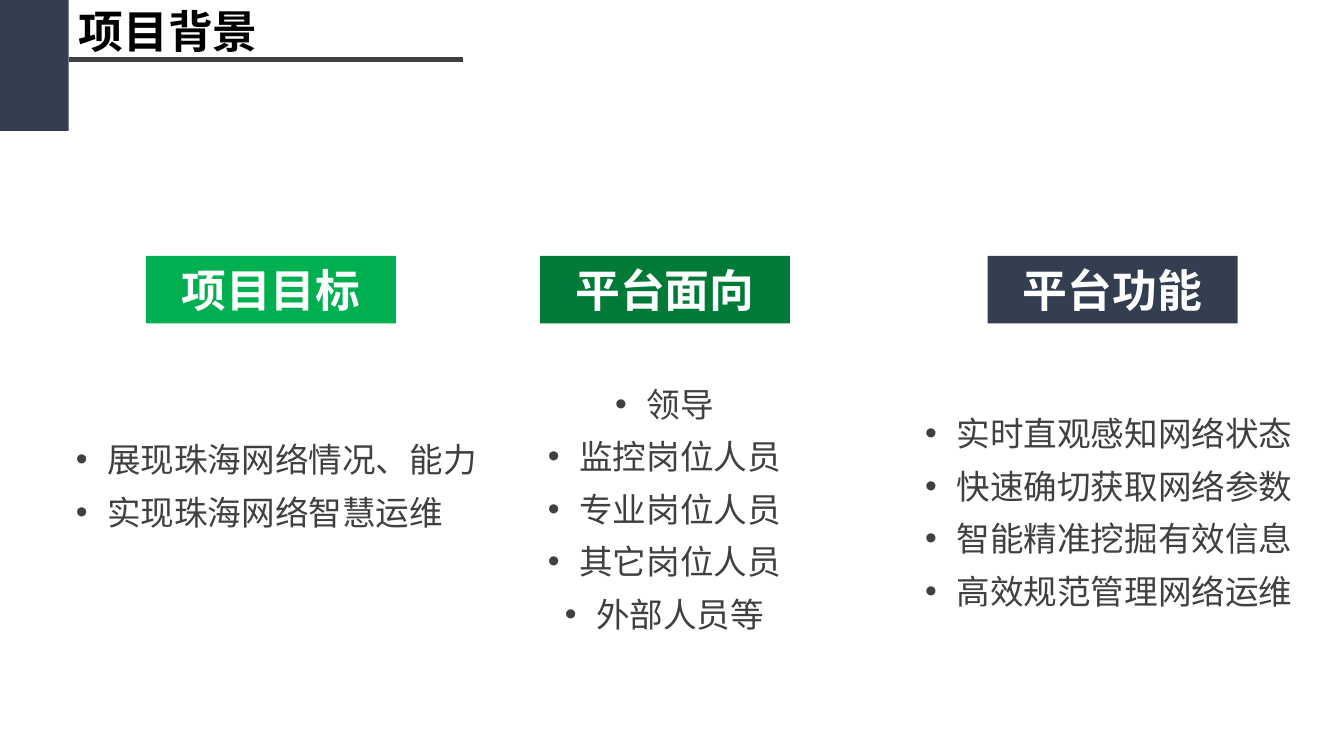
from dataclasses import dataclass

from pptx import Presentation
from pptx.dml.color import RGBColor
from pptx.enum.shapes import MSO_CONNECTOR, MSO_SHAPE
from pptx.enum.text import MSO_ANCHOR, MSO_AUTO_SIZE, PP_ALIGN
from pptx.oxml.ns import qn
from pptx.util import Cm, Pt
from lxml.etree import SubElement


@dataclass(frozen=True)
class Theme:
    navy: RGBColor = RGBColor.from_string("333F50")
    green: RGBColor = RGBColor.from_string("00B050")
    dark_green: RGBColor = RGBColor.from_string("007A37")
    gray: RGBColor = RGBColor.from_string("404040")
    black: RGBColor = RGBColor.from_string("000000")
    white: RGBColor = RGBColor.from_string("FFFFFF")
    chinese_font: str = "Noto Sans CJK SC"
    latin_font: str = "Calibri"
    heading_size: Pt = Pt(32)
    list_size: Pt = Pt(24)
    list_spacing: Pt = Pt(37.5)


theme = Theme()


def write_text(paragraph, text, color, size, bold=False, font_name=theme.chinese_font):
    """Add one run and set its font for both Latin and Chinese letters."""
    run = paragraph.add_run()
    run.text = text
    run.font.color.rgb = color
    for name, value in {"size": size, "bold": bold, "name": font_name}.items():
        setattr(run.font, name, value)
    east_asian = SubElement(run.font._element, qn("a:ea"))
    east_asian.set("typeface", theme.chinese_font)


def add_block(left, top, width, height, color):
    block = slide.shapes.add_shape(
        MSO_SHAPE.RECTANGLE, Cm(left), Cm(top), Cm(width), Cm(height)
    )
    block.shadow.inherit = False
    block.fill.solid()
    block.fill.fore_color.rgb = color
    block.line.fill.background()
    return block


presentation = Presentation()
presentation.slide_width, presentation.slide_height = Cm(33.87), Cm(19.05)
slide = presentation.slides.add_slide(presentation.slide_layouts[5])

# Title with corner block and underline
add_block(0, 0, 1.73, 3.3, theme.navy)
underline = slide.shapes.add_connector(
    MSO_CONNECTOR.STRAIGHT, Cm(1.73), Cm(1.5), Cm(11.68), Cm(1.5)
)
underline.line.color.rgb = theme.gray
underline.line.width = Pt(3)
SubElement(underline._element.spPr, qn("a:effectLst"))

title = slide.shapes.title
title_box = {"left": Cm(1.73), "top": Cm(0), "width": Cm(5.11), "height": Cm(1.55)}
for name, value in title_box.items():
    setattr(title, name, value)
title_format = {
    "auto_size": MSO_AUTO_SIZE.NONE,
    "vertical_anchor": MSO_ANCHOR.MIDDLE,
    "margin_left": Cm(0.25),
    "margin_right": 0,
    "margin_top": 0,
    "margin_bottom": 0,
}
for name, value in title_format.items():
    setattr(title.text_frame, name, value)
title_paragraph = title.text_frame.paragraphs[0]
title_paragraph.alignment = PP_ALIGN.LEFT
write_text(title_paragraph, "项目背景", theme.black, theme.heading_size, bold=True)

# Three columns: heading, colour, heading left, list left, top and width, alignment, items
columns = [
    ("项目目标", theme.green, 3.68, 1.73, 10.66, 10.85, PP_ALIGN.LEFT,
     ["展现珠海网络情况、能力", "实现珠海网络智慧运维"]),
    ("平台面向", theme.dark_green, 13.61, 13.06, 9.26, 7.37, PP_ALIGN.CENTER,
     ["领导", "监控岗位人员", "专业岗位人员", "其它岗位人员", "外部人员等"]),
    ("平台功能", theme.navy, 24.89, 22.94, 10, 10.01, PP_ALIGN.CENTER,
     ["实时直观感知网络状态", "快速确切获取网络参数", "智能精准挖掘有效信息", "高效规范管理网络运维"]),
]
heading_format = {
    "vertical_anchor": MSO_ANCHOR.MIDDLE,
    "margin_top": 0,
    "margin_bottom": 0,
}
list_format = {
    "word_wrap": True,
    "margin_left": Cm(0.18),
    "margin_right": Cm(0.18),
    "margin_top": Cm(0.1),
    "margin_bottom": Cm(0.1),
}

for heading, color, heading_left, left, top, width, alignment, items in columns:
    heading_block = add_block(heading_left, 6.45, 6.3, 1.7, color)
    for name, value in heading_format.items():
        setattr(heading_block.text_frame, name, value)
    paragraph = heading_block.text_frame.paragraphs[0]
    paragraph.alignment = PP_ALIGN.CENTER
    write_text(paragraph, heading, theme.white, theme.heading_size, True, theme.latin_font)

    list_height = len(items) * theme.list_spacing + Cm(0.2)
    list_box = slide.shapes.add_textbox(Cm(left), Cm(top), Cm(width), list_height)
    for name, value in list_format.items():
        setattr(list_box.text_frame, name, value)
    for index, item in enumerate(items):
        paragraph = list_box.text_frame.add_paragraph() if index else list_box.text_frame.paragraphs[0]
        paragraph.alignment = alignment
        paragraph.line_spacing = theme.list_spacing
        properties = paragraph._p.get_or_add_pPr()
        properties.set("marL", str(Cm(0.79)))
        properties.set("indent", str(-Cm(0.79)))
        SubElement(properties, qn("a:buFont")).set("typeface", "Arial")
        SubElement(properties, qn("a:buChar")).set("char", "•")
        write_text(paragraph, item, theme.gray, theme.list_size)

presentation.save("out.pptx")
